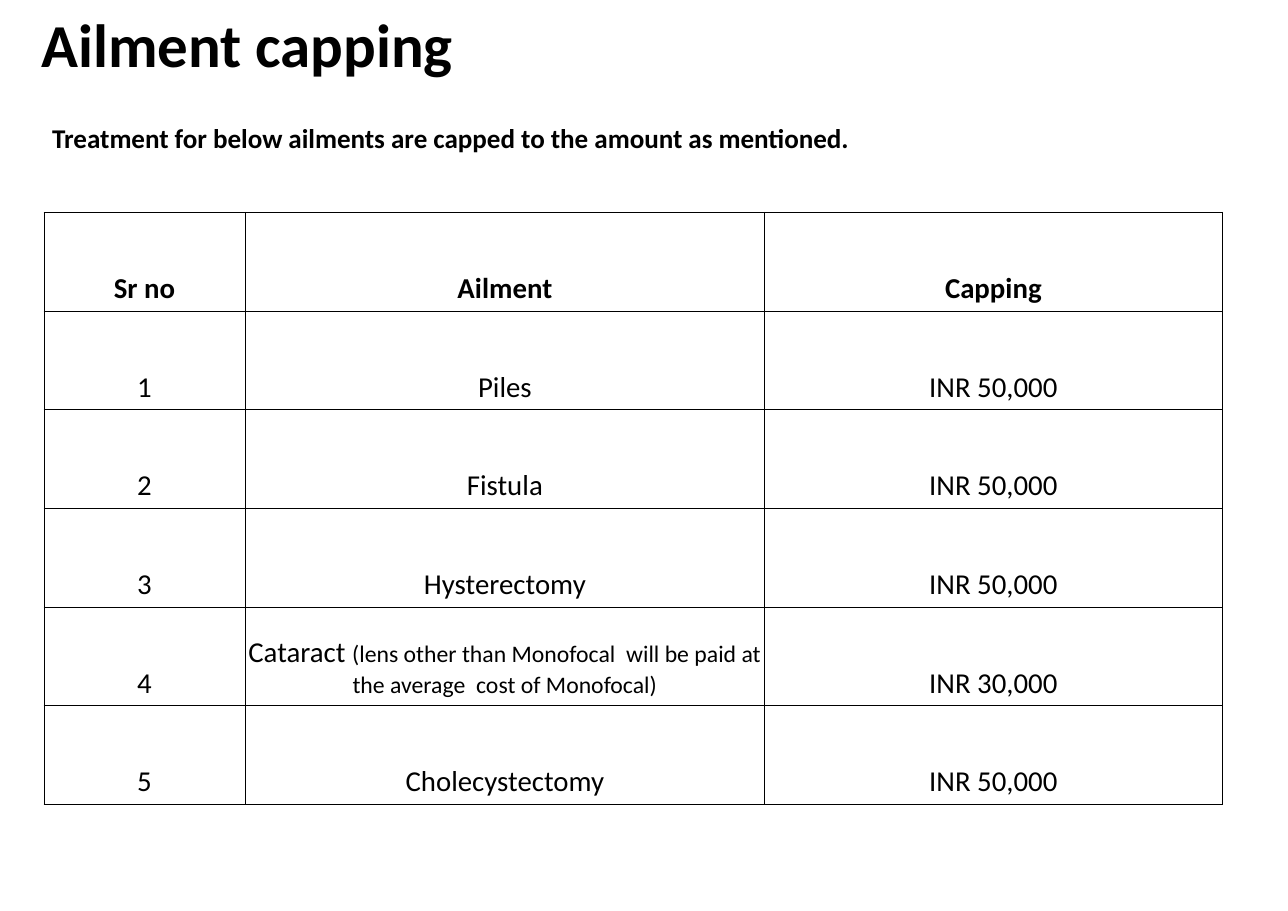
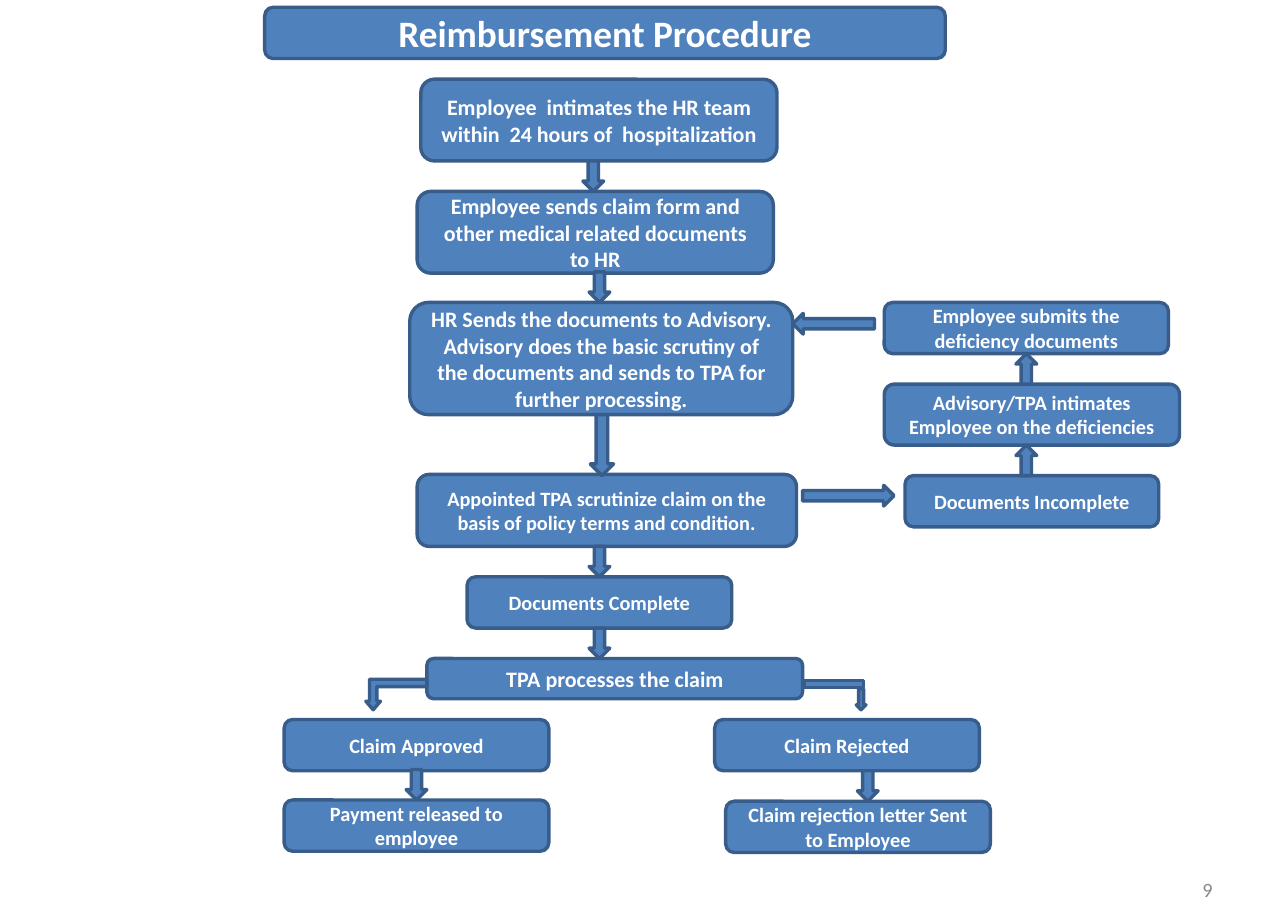
from lxml.etree import SubElement
from pptx import Presentation
from pptx.dml.color import RGBColor
from pptx.enum.shapes import MSO_SHAPE as Shape
from pptx.enum.text import MSO_ANCHOR as Anchor, MSO_AUTO_SIZE as AutoSize, PP_ALIGN as Align
from pptx.oxml.ns import qn
from pptx.util import Inches, Pt

COLOURS = {
    "text": "000000",
    "white": "FFFFFF",
    "fill": "4F81BD",
    "outline": "385D8A",
    "number": "898989",
}
FONT = "Calibri"
TITLE_ONLY = 5


def colour(name):
    return RGBColor.from_string(COLOURS[name])


class Deck:
    """Holds the shared style and the slide being built."""

    def __init__(self, width, height):
        self.presentation = Presentation()
        self.presentation.slide_width = Inches(width)
        self.presentation.slide_height = Inches(height)
        self.slide = None

    def new_slide(self):
        layout = self.presentation.slide_layouts[TITLE_ONLY]
        self.slide = self.presentation.slides.add_slide(layout)

    def add_runs(self, frame, runs, bold=False, ink="text", align=Align.LEFT, spacing=None):
        """Fill the first paragraph with (text, size) runs."""
        paragraph = frame.paragraphs[0]
        paragraph.alignment = align
        if spacing:
            paragraph.line_spacing = spacing
        for text, size in runs:
            run = paragraph.add_run()
            run.text = text
            run.font.name = FONT
            run.font.size = Pt(size)
            run.font.bold = bold
            run.font.color.rgb = colour(ink)

    def title(self, text, box, size, ink="text", align=Align.LEFT, anchor=Anchor.TOP):
        shape = self.slide.shapes.title
        shape.left, shape.top, shape.width, shape.height = map(Inches, box)
        frame = shape.text_frame
        frame.auto_size = AutoSize.NONE
        frame.vertical_anchor = anchor
        self.add_runs(frame, [(text, size)], True, ink, align)
        return shape

    def text(self, text, box, size, bold=False, ink="text", align=Align.LEFT,
             anchor=Anchor.TOP, wrap=True):
        frame = self.slide.shapes.add_textbox(*map(Inches, box)).text_frame
        frame.word_wrap = wrap
        frame.vertical_anchor = anchor
        self.add_runs(frame, [(text, size)], bold, ink, align)

    def paint(self, shape):
        shape.shadow.inherit = False
        shape.fill.solid()
        shape.fill.fore_color.rgb = colour("fill")
        shape.line.color.rgb = colour("outline")
        shape.line.width = Pt(2)
        return shape

    def block(self, kind, box):
        return self.paint(self.slide.shapes.add_shape(kind, *map(Inches, box)))

    def step(self, text, size, box):
        frame = self.block(Shape.ROUNDED_RECTANGLE, box).text_frame
        frame.word_wrap = True
        frame.vertical_anchor = Anchor.MIDDLE
        self.add_runs(frame, [(text, size)], True, "white", Align.CENTER)

    def outline(self, points):
        corners = [(Inches(x), Inches(y)) for x, y in points]
        builder = self.slide.shapes.build_freeform(*corners[0])
        builder.add_line_segments(corners[1:], close=True)
        self.paint(builder.convert_to_shape())

    def table(self, rows, left, top, widths, row_height):
        graphic = self.slide.shapes.add_table(
            len(rows), len(widths), Inches(left), Inches(top),
            Inches(sum(widths)), Inches(row_height * len(rows)))
        table = graphic.table
        table.first_row = table.horz_banding = False
        for column, width in zip(table.columns, widths):
            column.width = Inches(width)
        for row_index, row in enumerate(rows):
            for column_index, runs in enumerate(row):
                cell = table.cell(row_index, column_index)
                cell.vertical_anchor = Anchor.BOTTOM
                cell.margin_left = cell.margin_right = Inches(0.01)
                # A cell with a remark keeps single spacing
                self.add_runs(cell.text_frame, runs, bold=row_index == 0, align=Align.CENTER,
                              spacing=2.5 if len(runs) == 1 else None)
                self.borders(cell)
                cell.fill.solid()
                cell.fill.fore_color.rgb = colour("white")

    def borders(self, cell):
        properties = cell._tc.get_or_add_tcPr()
        for side in ("lnL", "lnR", "lnT", "lnB"):
            line = SubElement(properties, qn(f"a:{side}"), w=str(Pt(0.45)))
            fill = SubElement(line, qn("a:solidFill"))
            SubElement(fill, qn("a:srgbClr"), val=COLOURS["text"])


def ailment_slide(deck):
    deck.new_slide()
    deck.title("Ailment capping", (0.24, 0, 4.58, 0.7), 36)
    deck.text("Treatment for below ailments are capped to the amount as mentioned.",
              (0.33, 0.95, 6.77, 0.37), 16, bold=True, wrap=False)

    # Capping table: heading row, then numbered ailments
    remark = "(lens other than Monofocal  will be paid at the average  cost of Monofocal)"
    cappings = [
        ([("Piles", 17)], "INR 50,000"),
        ([("Fistula", 17)], "INR 50,000"),
        ([("Hysterectomy", 17)], "INR 50,000"),
        ([("Cataract ", 17), (remark, 14)], "INR 30,000"),
        ([("Cholecystectomy", 17)], "INR 50,000"),
    ]
    rows = [[[(heading, 17)] for heading in ("Sr no", "Ailment", "Capping")]]
    for number, (ailment, amount) in enumerate(cappings, start=1):
        rows.append([[(str(number), 17)], ailment, [(amount, 17)]])
    deck.table(rows, 0.36, 1.74, (1.65, 4.26, 3.75), 0.74)


def reimbursement_slide(deck):
    deck.new_slide()

    # Title on its band
    title_box = (2.17, 0.06, 5.58, 0.42)
    title = deck.title("Reimbursement Procedure", title_box, 22, "white",
                       Align.CENTER, Anchor.MIDDLE)
    band = deck.block(Shape.ROUNDED_RECTANGLE, title_box)
    title._element.addprevious(band._element)

    # Steps of the claim
    steps = [
        ("Employee  intimates the HR team within  24 hours of  hospitalization",
         13, (3.45, 0.65, 2.92, 0.67)),
        ("Employee sends claim form and other medical related documents to HR",
         13, (3.42, 1.57, 2.92, 0.67)),
        ("HR Sends the documents to Advisory. Advisory does the basic scrutiny of the "
         "documents and sends to TPA for further processing.",
         13, (3.36, 2.48, 3.14, 0.92)),
        ("Appointed TPA scrutinize claim on the basis of policy terms and condition.",
         12, (3.42, 3.89, 3.11, 0.59)),
        ("Documents Complete", 12, (3.83, 4.73, 2.17, 0.42)),
        ("TPA processes the claim", 13, (3.5, 5.4, 3.08, 0.33)),
        ("Documents Incomplete", 12, (7.42, 3.9, 2.08, 0.42)),
        ("Advisory/TPA intimates Employee on the deficiencies", 12, (7.25, 3.15, 2.42, 0.5)),
        ("Employee submits the deficiency documents", 12, (7.25, 2.48, 2.33, 0.42)),
        ("Claim Approved", 12, (2.33, 5.9, 2.17, 0.42)),
        ("Payment released to employee", 12, (2.33, 6.56, 2.17, 0.42)),
        ("Claim Rejected", 12, (5.86, 5.9, 2.17, 0.42)),
        ("Claim rejection letter Sent to Employee", 12, (5.95, 6.57, 2.17, 0.42)),
    ]
    for step in steps:
        deck.step(*step)

    # Short arrows of one size between stacked steps
    short_arrows = {
        Shape.DOWN_ARROW: [(4.78, 1.32), (4.83, 2.23), (4.83, 4.48), (4.83, 5.15),
                           (3.33, 6.31), (7.03, 6.32)],
        Shape.UP_ARROW: [(8.33, 2.9), (8.33, 3.65)],
    }
    for kind, places in short_arrows.items():
        for left, top in places:
            deck.block(kind, (left, top, 0.17, 0.25))

    # Long arrows, to and from the deficiency loop
    deck.block(Shape.DOWN_ARROW, (4.84, 3.4, 0.19, 0.5))
    deck.block(Shape.LEFT_ARROW, (6.5, 2.57, 0.67, 0.17))
    deck.block(Shape.RIGHT_ARROW, (6.58, 3.98, 0.75, 0.17))

    # Bent arrows to approval and rejection
    deck.outline([(3.5, 5.63), (3.09, 5.63), (3.09, 5.75), (3.12, 5.75), (3.06, 5.82),
                  (3, 5.75), (3.03, 5.75), (3.03, 5.57), (3.5, 5.57)])
    deck.outline([(6.59, 5.58), (7.08, 5.58), (7.08, 5.64), (6.59, 5.64)])
    deck.block(Shape.DOWN_ARROW, (7.02, 5.65, 0.08, 0.17))

    # Page number
    deck.text("9", (7.57, 7.09, 2.47, 0.4), 12, ink="number",
              align=Align.RIGHT, anchor=Anchor.MIDDLE)


def main():
    deck = Deck(10.56, 7.47)
    ailment_slide(deck)
    reimbursement_slide(deck)
    deck.presentation.save("out.pptx")


if __name__ == "__main__":
    main()
